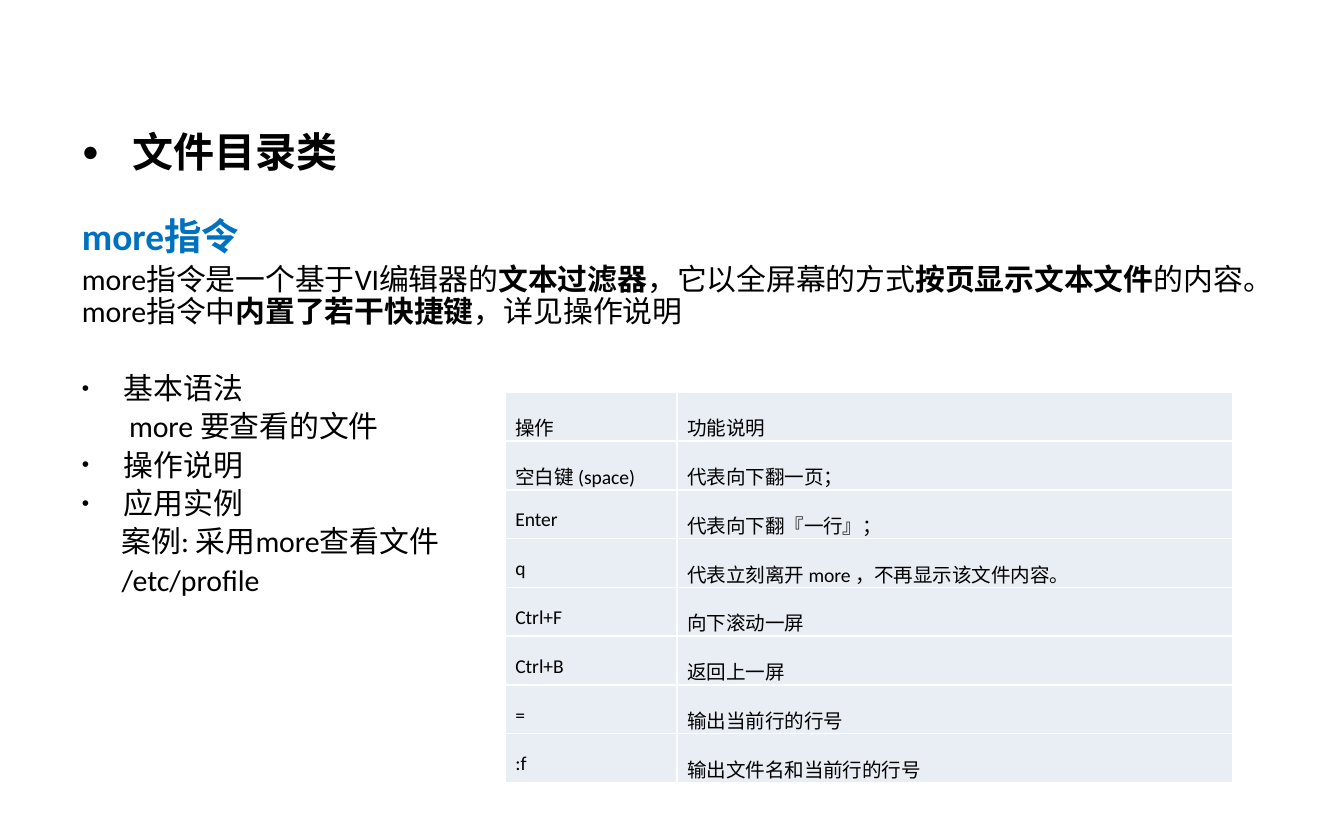
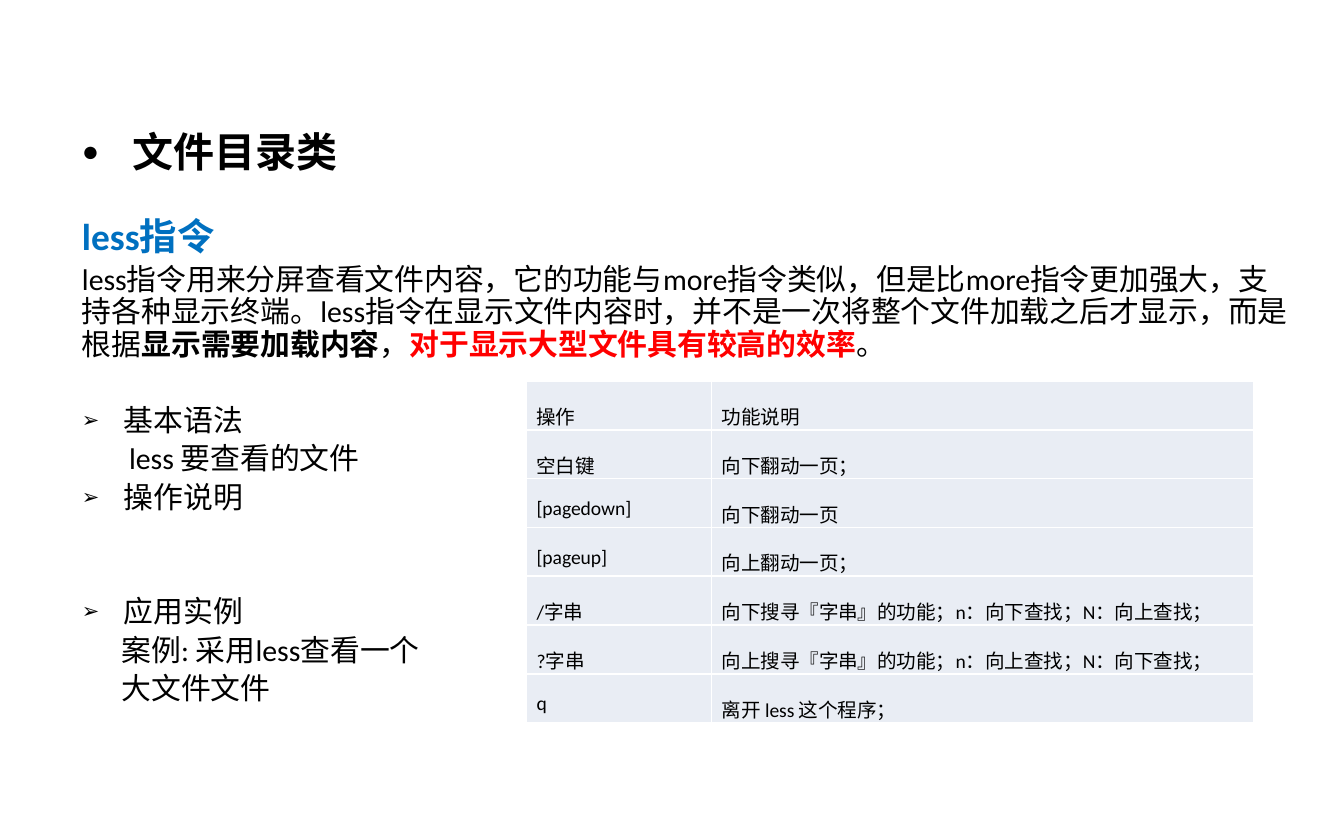
from lxml.etree import SubElement
from pptx import Presentation
from pptx.dml.color import RGBColor
from pptx.enum.text import PP_ALIGN
from pptx.oxml.ns import qn
from pptx.util import Cm, Pt

BLACK = RGBColor(0x00, 0x00, 0x00)
BLUE = RGBColor(0x00, 0x70, 0xC0)
RED = RGBColor(0xFF, 0x00, 0x00)
PALE = RGBColor(0xE9, 0xED, 0xF4)
WHITE = RGBColor(0xFF, 0xFF, 0xFF)

TITLE = "文件目录类"
STRONG = {"bold": True}
ALERT = {"bold": True, "color": RED}
GAP = 3.3    # points between paragraphs
LINE = 20.4  # points taken by one line of notes
NEAR, FAR = 0.75, 0.89  # indents of the lines under a bullet, cm

# Notes: (text, indent or None for a bullet, lines left free above)
PAGES = [
    {
        "head": "more指令",
        "intro": [
            ("more指令是一个基于VI编辑器的", {}),
            ("文本过滤器", STRONG),
            ("，它以全屏幕的方式", {}),
            ("按页显示文本文件", STRONG),
            ("的内容。more指令中", {}),
            ("内置了若干快捷键", STRONG),
            ("，详见操作说明", {}),
        ],
        "mark": "•",
        "notes": [
            ("基本语法", None, 1),
            ("more 要查看的文件", FAR, 0),
            ("操作说明", None, 0),
            ("应用实例", None, 0),
            ("案例: 采用more查看文件", NEAR, 0),
            ("/etc/profile", NEAR, 0),
        ],
        "tall": 10.67,
        "spot": (9.55, 7.41),
        "cols": (3.25, 10.49),
        "even": 2,  # rows whose second cell is justified
        "keys": [
            ("操作", "功能说明"),
            ("空白键 (space)", "代表向下翻一页；"),
            ("Enter", "代表向下翻『一行』；"),
            ("q", "代表立刻离开 more ，不再显示该文件内容。"),
            ("Ctrl+F", "向下滚动一屏"),
            ("Ctrl+B", "返回上一屏"),
            ("=", "输出当前行的行号"),
            (":f", "输出文件名和当前行的行号"),
        ],
    },
    {
        "head": "less指令",
        "intro": [
            ("less指令用来分屏查看文件内容，它的功能与more指令类似，"
             "但是比more指令更加强大，支持各种显示终端。"
             "less指令在显示文件内容时，并不是一次将整个文件加载之后才显示，"
             "而是根据", {}),
            ("显示需要加载内容", STRONG),
            ("，", {}),
            ("对于显示大型文件具有较高的效率", ALERT),
            ("。", {}),
        ],
        "mark": "➢",
        "notes": [
            ("基本语法", None, 1),
            ("less 要查看的文件", FAR, 0),
            ("操作说明", None, 0),
            ("应用实例", None, 2),
            ("案例: 采用less查看一个", NEAR, 0),
            ("大文件文件", NEAR, 0),
        ],
        "tall": 12.8,
        "spot": (9.95, 7.2),
        "cols": (3.5, 10.25),
        "even": 3,
        "keys": [
            ("操作", "功能说明"),
            ("空白键", "向下翻动一页；"),
            ("[pagedown]", "向下翻动一页"),
            ("[pageup]", "向上翻动一页；"),
            ("/字串", "向下搜寻『字串』的功能；n：向下查找；N：向上查找；"),
            ("?字串", "向上搜寻『字串』的功能；n：向上查找；N：向下查找；"),
            ("q", "离开 less 这个程序；"),
        ],
    },
]


def write(frame, text, size=16, font="Calibri", color=BLACK, bold=False,
          mark=None, indent=0, hang=0, before=GAP, lines=0.9, align=None):
    """Fill the first free paragraph; text is a string or (text, format) pairs."""
    first = frame.paragraphs[0]
    if first.runs:
        para = frame.add_paragraph()
    else:
        para, before = first, 0
    props = para._p.get_or_add_pPr()
    props.set("marL", str(Cm(indent)))
    props.set("indent", str(-Cm(hang)))
    if mark:
        tint = SubElement(props, qn("a:buClr"))
        SubElement(tint, qn("a:srgbClr"), val=str(BLACK))
        SubElement(props, qn("a:buSzPct"), val="70000")
        SubElement(props, qn("a:buFont"), typeface="Arial")
        SubElement(props, qn("a:buChar"), char=mark)
    else:
        SubElement(props, qn("a:buNone"))
    para.line_spacing = lines
    para.space_before = Pt(before)
    para.alignment = align
    for words, style in [(text, {})] if isinstance(text, str) else text:
        run = para.add_run()
        run.text = words
        run.font.name = font
        run.font.size = Pt(size)
        run.font.bold = style.get("bold", bold)
        run.font.color.rgb = style.get("color", color)


def add_box(slide, top, width, height):
    box = slide.shapes.add_textbox(Cm(1.3), Cm(top), Cm(width), Cm(height))
    box.text_frame.word_wrap = True
    return box.text_frame


def edge(cell):
    """Draw thin white borders; call before the fill is set."""
    props = cell._tc.get_or_add_tcPr()
    for side in ("lnL", "lnR", "lnT", "lnB"):
        line = SubElement(props, qn(f"a:{side}"), w=str(Pt(1)))
        fill = SubElement(line, qn("a:solidFill"))
        SubElement(fill, qn("a:srgbClr"), val=str(WHITE))


def add_keys(slide, page):
    rows, cols, high = page["keys"], page["cols"], 0.92
    left, top = page["spot"]
    table = slide.shapes.add_table(
        len(rows), len(cols), Cm(left), Cm(top),
        Cm(sum(cols)), Cm(high * len(rows))).table
    table.first_row = table.horz_banding = False
    for col, width in zip(table.columns, cols):
        col.width = Cm(width)
    for r, row in enumerate(rows):
        table.rows[r].height = Cm(high)
        for c, text in enumerate(row):
            cell = table.cell(r, c)
            cell.margin_left = cell.margin_right = Cm(0.19)
            edge(cell)
            cell.fill.solid()
            cell.fill.fore_color.rgb = PALE
            even = c == 0 or r < page["even"]
            write(cell.text_frame, text, size=10.5, lines=1.5,
                  align=PP_ALIGN.JUSTIFY if even else PP_ALIGN.LEFT)


def add_page(deck, page):
    slide = deck.slides.add_slide(deck.slide_layouts[6])
    write(add_box(slide, 2.37, 20.19, 1.09), TITLE, size=22, font="Arial",
          bold=True, mark="●", indent=0.95, hang=0.95)
    body = add_box(slide, 4, 23.39, page["tall"])
    write(body, page["head"], size=20, color=BLUE, bold=True)
    write(body, page["intro"])
    for text, indent, free in page["notes"]:
        before = GAP + free * LINE
        if indent is None:
            write(body, text, mark=page["mark"], indent=0.79, hang=0.79,
                  before=before)
        else:
            write(body, text, indent=indent, before=before)
    add_keys(slide, page)


def main():
    deck = Presentation()
    deck.slide_width, deck.slide_height = Cm(25.4), Pt(442.25)
    for page in PAGES:
        add_page(deck, page)
    deck.save("out.pptx")


if __name__ == "__main__":
    main()
